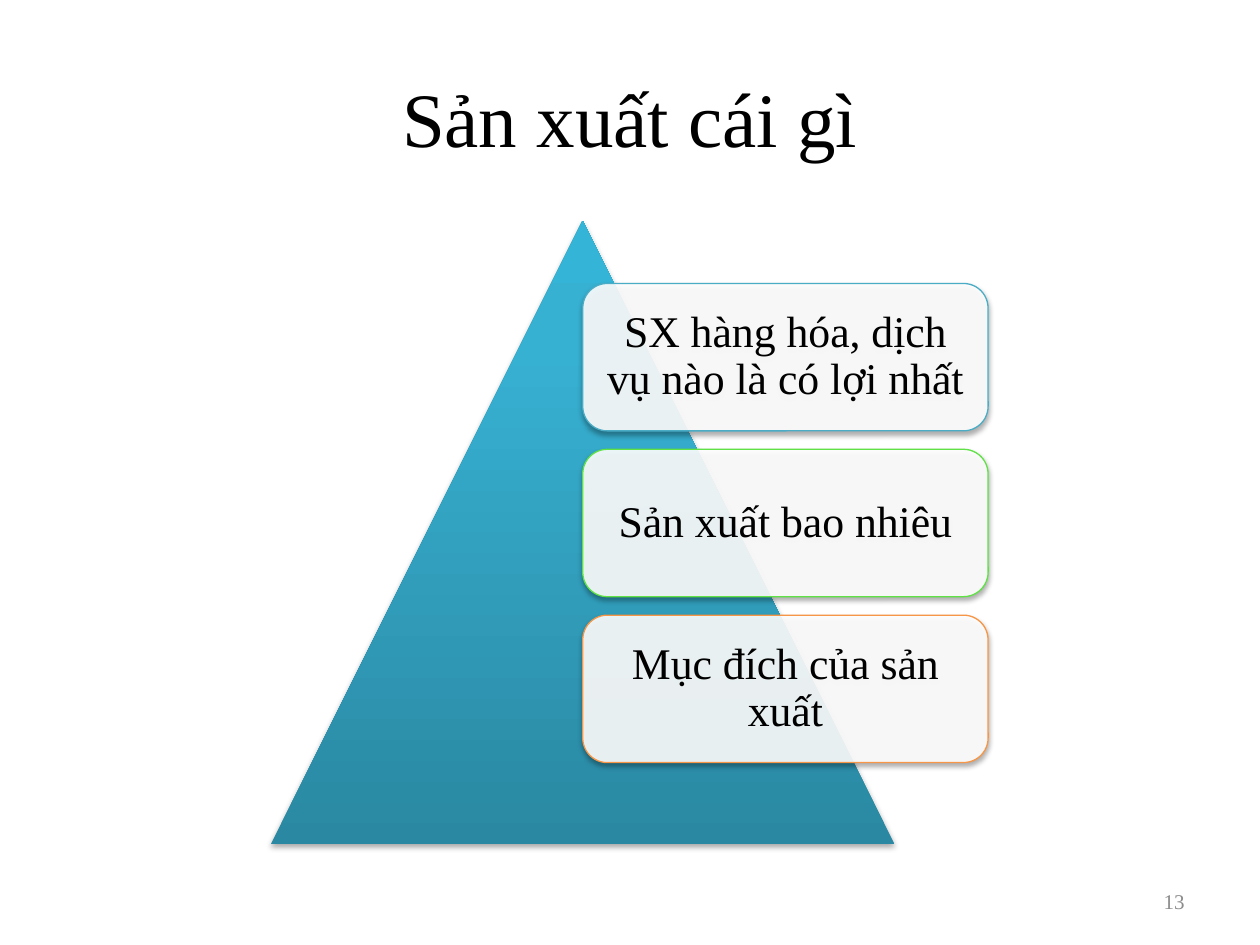
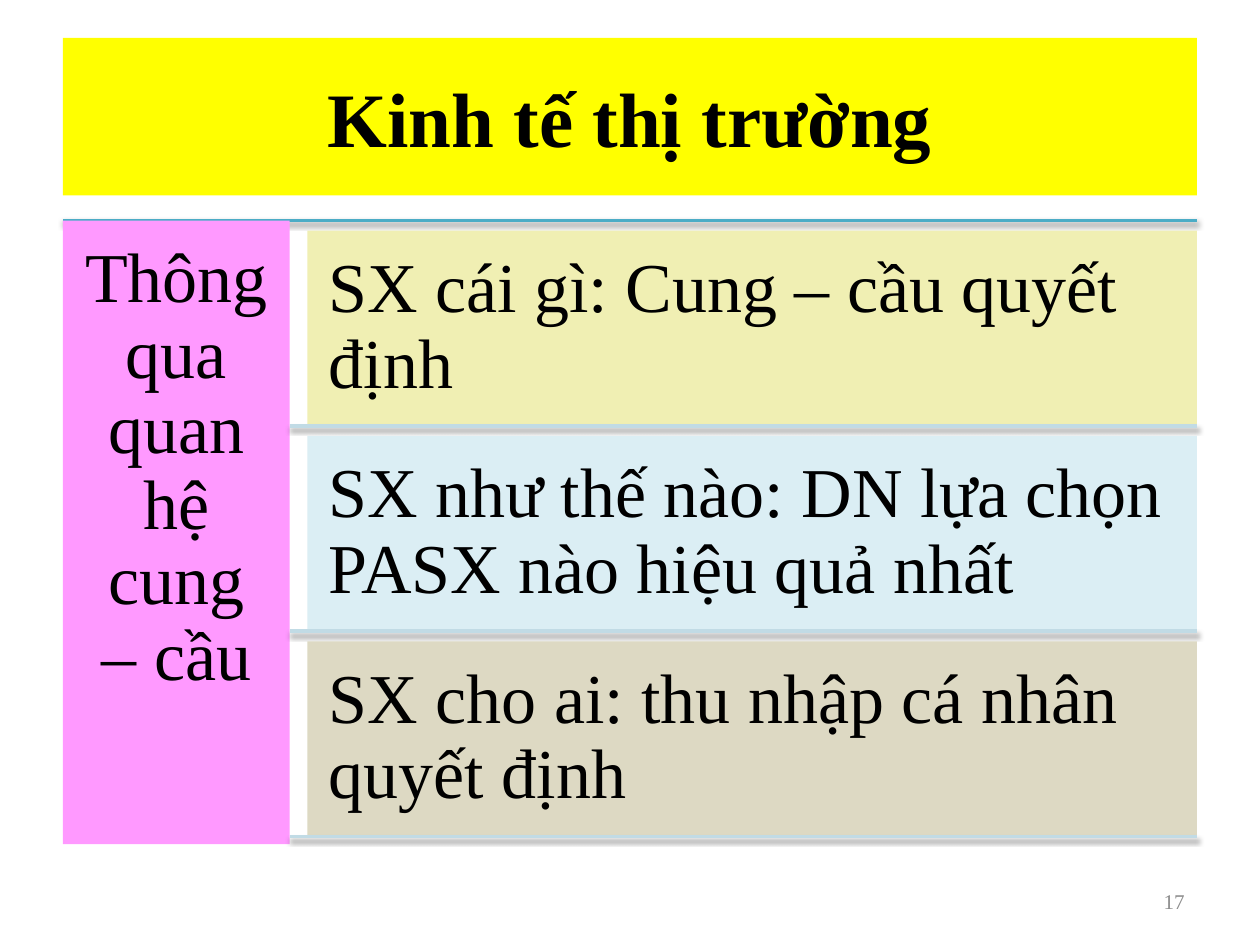
from lxml import etree
from pptx import Presentation
from pptx.dml.color import RGBColor
from pptx.enum.shapes import MSO_CONNECTOR, MSO_SHAPE
from pptx.enum.text import MSO_ANCHOR, PP_ALIGN
from pptx.oxml import parse_xml
from pptx.oxml.ns import nsdecls, qn
from pptx.util import Inches, Pt

RECT, ROUND = MSO_SHAPE.RECTANGLE, MSO_SHAPE.ROUNDED_RECTANGLE
PEAK, LINE = MSO_SHAPE.ISOSCELES_TRIANGLE, MSO_CONNECTOR.STRAIGHT
LEFT, MID, RIGHT = PP_ALIGN.LEFT, PP_ALIGN.CENTER, PP_ALIGN.RIGHT
TOP, CENTRE = MSO_ANCHOR.TOP, MSO_ANCHOR.MIDDLE

# Content
GOALS = {
    "title": "Sản xuất cái gì",
    "page": 13,
    "cards": [
        ("SX hàng hóa, dịch vụ nào là có lợi nhất", "4BACC6"),
        ("Sản xuất bao nhiêu", "60E146"),
        ("Mục đích của sản xuất", "F79646"),
    ],
}
MARKET = {
    "title": "Kinh tế thị trường",
    "page": 17,
    "side": "Thông qua quan hệ cung – cầu",
    "rows": [
        ("SX cái gì: Cung – cầu quyết định", "F0EFB3"),
        ("SX như thế nào: DN lựa chọn PASX nào hiệu quả nhất", "DBEEF4"),
        ("SX cho ai: thu nhập cá nhân quyết định", "DDD9C3"),
    ],
}

# Shared look, in inches
FONT, INK, GREY = "Times New Roman", "000000", "8C8C8C"
BAND, PINK, TEAL, PALE = "FFFF00", "FF99FF", "4BACC6", "C1DBE5"
SLOPE = [(0, "2A88A2"), (80, "37B1D2"), (100, "34B4D6")]
WIDE, HIGH, EDGE = 10, 7.5, 0.5
FULL = WIDE - 2 * EDGE
HEAD, BODY, TALL = 0.3, 1.75, 4.95


def rgb(code):
    return RGBColor.from_string(code)


def shade(shape, alpha, dist):
    """Give a shape a soft shadow that falls straight down."""
    shape._element.spPr.append(parse_xml(
        f'<a:effectLst {nsdecls("a")}><a:outerShdw blurRad="{Pt(3.1)}" '
        f'dist="{Pt(dist)}" dir="5400000" rotWithShape="0">'
        f'<a:srgbClr val="000000"><a:alpha val="{alpha * 1000}"/></a:srgbClr>'
        '</a:outerShdw></a:effectLst>'))


def form(slide, kind, box, fill=None, edge=None):
    shape = slide.shapes.add_shape(kind, *map(Inches, box))
    if fill:
        shape.fill.solid()
        shape.fill.fore_color.rgb = rgb(fill)
    else:
        shape.fill.background()
    if edge:
        shape.line.color.rgb = rgb(edge)
        shape.line.width = Pt(0.75)
    else:
        shape.line.fill.background()
    return shape


def write(shape, text, size, align=MID, anchor=CENTRE, pad=(0.1, 0.05),
          color=INK, bold=False, lead=None):
    frame = shape.text_frame
    frame.text = text
    frame.word_wrap = True
    frame.vertical_anchor = anchor
    frame.margin_left = frame.margin_right = Inches(pad[0])
    frame.margin_top = frame.margin_bottom = Inches(pad[1])
    para = frame.paragraphs[0]
    para.alignment = align
    if lead:
        para.line_spacing = lead
    font = para.runs[0].font
    font.name, font.size, font.bold = FONT, Pt(size), bold
    font.color.rgb = rgb(color)


def rule(slide, left, y, color):
    ends = map(Inches, (left, y, WIDE - EDGE, y))
    line = slide.shapes.add_connector(LINE, *ends)
    line.line.color.rgb = rgb(color)
    line.line.width = Pt(2)
    shade(line, 38, 1.6)


def start(deck, data, band=None):
    """Add a slide with its title and page number."""
    slide = deck.slides.add_slide(deck.slide_layouts[6])
    box = (EDGE, HEAD, FULL, 1.25)
    if band:
        title = form(slide, RECT, box, band)
        title.shadow.inherit = False
    else:
        title = slide.shapes.add_textbox(*map(Inches, box))
    write(title, data["title"], 44, bold=bool(band))
    foot = slide.shapes.add_textbox(*map(Inches, (7.17, 6.95, 2.33, 0.4)))
    write(foot, str(data["page"]), 12, RIGHT, color=GREY)
    return slide


def peak(slide, box):
    """Draw the triangle with its upward gradient."""
    shape = form(slide, PEAK, box)
    shape.fill.gradient()
    grad = shape._element.spPr.find(qn("a:gradFill"))
    for part in list(grad):
        grad.remove(part)
    stops = etree.SubElement(grad, qn("a:gsLst"))
    for pos, color in SLOPE:
        stop = etree.SubElement(stops, qn("a:gs"), pos=str(pos * 1000))
        etree.SubElement(stop, qn("a:srgbClr"), val=color)
    etree.SubElement(grad, qn("a:lin"), ang="16200000", scaled="0")
    shade(shape, 35, 1.8)


def goals(deck, data):
    slide = start(deck, data)
    left = 2.15
    peak(slide, (left, BODY, TALL, TALL))
    # Cards start at the triangle's axis; gaps are an eighth of a card
    high = 1.17
    step = high * 9 / 8
    for i, (text, edge) in enumerate(data["cards"]):
        box = (left + TALL / 2, 2.25 + i * step, TALL * 0.65, high)
        card = form(slide, ROUND, box, "FFFFFF", edge)
        tint = card._element.spPr.find(qn("a:solidFill"))[0]
        etree.SubElement(tint, qn("a:alpha"), val="90000")
        shade(card, 35, 1.8)
        write(card, text, 25, pad=(0.1, 0.1), lead=0.9)


def market(deck, data):
    slide = start(deck, data, BAND)
    look = {"size": 40, "anchor": TOP, "pad": (0.17, 0.17), "lead": 0.9}
    # Side column: one fifth of the width
    side = FULL / 5
    rule(slide, EDGE, BODY, TEAL)
    cell = form(slide, RECT, (EDGE, BODY, side, TALL), PINK)
    cell.shadow.inherit = False
    write(cell, data["side"], **look)
    # Rows, each closed by a rule
    gap, high = 0.08, 1.55
    left = EDGE + side
    for i, (text, fill) in enumerate(data["rows"]):
        y = BODY + gap + i * (high + gap)
        box = (left + 0.14, y, FULL - side - 0.14, high)
        row = form(slide, RECT, box, fill)
        row.shadow.inherit = False
        write(row, text, align=LEFT, **look)
        rule(slide, left, y + high, PALE)


def main():
    deck = Presentation()
    deck.slide_width, deck.slide_height = Inches(WIDE), Inches(HIGH)
    goals(deck, GOALS)
    market(deck, MARKET)
    deck.save("out.pptx")


if __name__ == "__main__":
    main()
